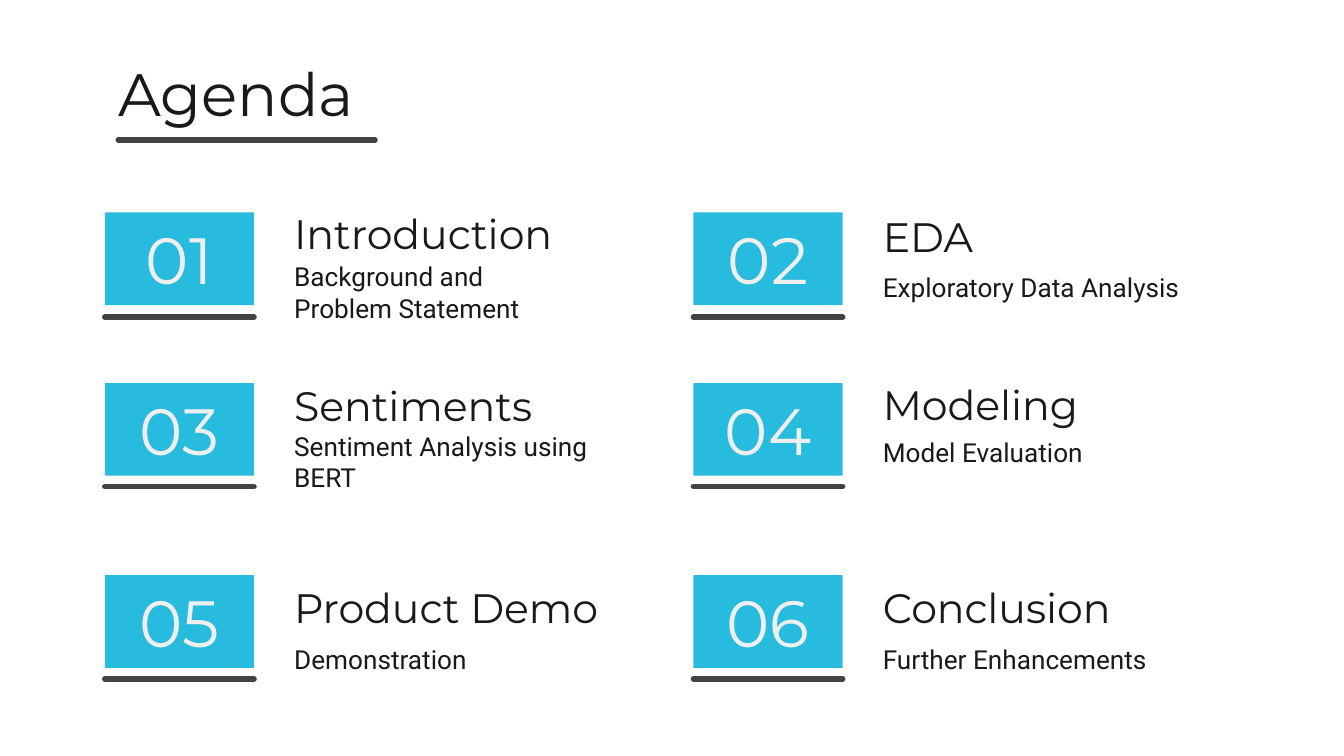
"""Build the agenda slide: a title over a two-column grid of numbered topics."""
from dataclasses import dataclass

from lxml.etree import SubElement
from pptx import Presentation
from pptx.dml.color import RGBColor
from pptx.enum.shapes import MSO_CONNECTOR, MSO_SHAPE
from pptx.enum.text import MSO_ANCHOR, MSO_AUTO_SIZE, PP_ALIGN
from pptx.oxml.ns import qn
from pptx.util import Inches, Pt

CYAN = RGBColor(0x27, 0xBB, 0xDE)
INK = RGBColor(0x19, 0x19, 0x19)
PALE = RGBColor(0xEF, 0xEF, 0xEF)
GREY = RGBColor(0x43, 0x43, 0x43)

SLIDE_WIDTH = Inches(10)
SLIDE_HEIGHT = SLIDE_WIDTH * 9 // 16
COLUMNS = (0.78, 5.16)
ROWS = (1.58, 2.85, 4.28)
RULES = (2.36, 3.62, 5.05)
CARD_WIDTH, CARD_HEIGHT = 1.11, 0.69
TEXT_OFFSET, TEXT_WIDTH = 1.31, 2.75
HEADING_HEIGHT, DETAIL_HEIGHT = 0.42, 0.53


@dataclass(frozen=True)
class Style:
    """Describe how a block of text looks."""

    font: str
    size: int
    color: RGBColor
    anchor: MSO_ANCHOR
    align: PP_ALIGN
    top: float
    bottom: float


@dataclass(frozen=True)
class Topic:
    """Hold one agenda entry and the tops of its two texts."""

    heading: str
    heading_top: float
    detail: tuple[str, ...]
    detail_top: float


TITLE = Style("Montserrat", 32, INK, MSO_ANCHOR.TOP, PP_ALIGN.LEFT, 0, 0.1)
NUMBER = Style("Montserrat", 35, PALE, MSO_ANCHOR.MIDDLE, PP_ALIGN.CENTER, 0.1, 0.1)
HEADING = Style("Montserrat", 22, INK, MSO_ANCHOR.BOTTOM, PP_ALIGN.LEFT, 0.1, 0)
DETAIL = Style("Roboto", 14, INK, MSO_ANCHOR.TOP, PP_ALIGN.LEFT, 0, 0.1)

TOPICS = (
    Topic("Introduction", 1.5, ("Background and", "Problem Statement"), 1.94),
    Topic("EDA", 1.52, ("Exploratory Data Analysis",), 2.02),
    Topic("Sentiments", 2.78, ("Sentiment Analysis using BERT",), 3.2),
    Topic("Modeling", 2.77, ("Model Evaluation",), 3.25),
    Topic("Product Demo", 4.28, ("Demonstration",), 4.79),
    Topic("Conclusion", 4.28, ("Further Enhancements",), 4.79),
)


def write(shape, lines: tuple[str, ...], style: Style) -> None:
    """Fill a shape with one styled paragraph per line."""
    frame = shape.text_frame
    frame_format = {
        "text": "\n".join(lines),
        "word_wrap": True,
        "auto_size": MSO_AUTO_SIZE.NONE,
        "vertical_anchor": style.anchor,
        "margin_left": Inches(0.1),
        "margin_right": Inches(0.1),
        "margin_top": Inches(style.top),
        "margin_bottom": Inches(style.bottom),
    }
    for name, value in frame_format.items():
        setattr(frame, name, value)
    font_format = {"name": style.font, "size": Pt(style.size), "bold": False}
    for para in frame.paragraphs:
        para.alignment = style.align
        for span in para.runs:
            span.font.color.rgb = style.color
            for name, value in font_format.items():
                setattr(span.font, name, value)


def add_text(page, left: float, top: float, height: float,
             lines: tuple[str, ...], style: Style) -> None:
    """Place a text box of the common column width."""
    box = page.shapes.add_textbox(
        Inches(left), Inches(top), Inches(TEXT_WIDTH), Inches(height))
    write(box, lines, style)


def add_rule(page, left: float, top: float, width: float) -> None:
    """Draw a grey horizontal line with round ends."""
    rule = page.shapes.add_connector(
        MSO_CONNECTOR.STRAIGHT, Inches(left), Inches(top),
        Inches(left + width), Inches(top))
    rule.line.color.rgb = GREY
    rule.line.width = Pt(3)
    properties = rule.element.spPr
    properties.find(qn("a:ln")).set("cap", "rnd")
    SubElement(properties, qn("a:effectLst"))


def add_topic(page, index: int, topic: Topic) -> None:
    """Draw the number card, rule and texts of one topic."""
    row, column = divmod(index, len(COLUMNS))
    left = COLUMNS[column]
    card = page.shapes.add_shape(
        MSO_SHAPE.RECTANGLE, Inches(left), Inches(ROWS[row]),
        Inches(CARD_WIDTH), Inches(CARD_HEIGHT))
    card.shadow.inherit = False
    card.fill.solid()
    card.fill.fore_color.rgb = CYAN
    card.line.fill.background()
    write(card, (f"{index + 1:02}",), NUMBER)
    add_rule(page, left, RULES[row], CARD_WIDTH)
    text_left = left + TEXT_OFFSET
    add_text(page, text_left, topic.heading_top, HEADING_HEIGHT,
             (topic.heading,), HEADING)
    add_text(page, text_left, topic.detail_top, DETAIL_HEIGHT,
             topic.detail, DETAIL)


def main() -> None:
    """Assemble and save the deck."""
    deck = Presentation()
    deck.slide_width, deck.slide_height = SLIDE_WIDTH, SLIDE_HEIGHT
    page = deck.slides.add_slide(deck.slide_layouts.get_by_name("Title Only"))
    title = page.shapes.title
    place = {"left": COLUMNS[0], "top": 0.42, "width": 8.44, "height": 0.52}
    for name, value in place.items():
        setattr(title, name, Inches(value))
    write(title, ("Agenda",), TITLE)
    add_rule(page, 0.88, 1.04, 1.91)
    for index, topic in enumerate(TOPICS):
        add_topic(page, index, topic)
    deck.save("out.pptx")


if __name__ == "__main__":
    main()
